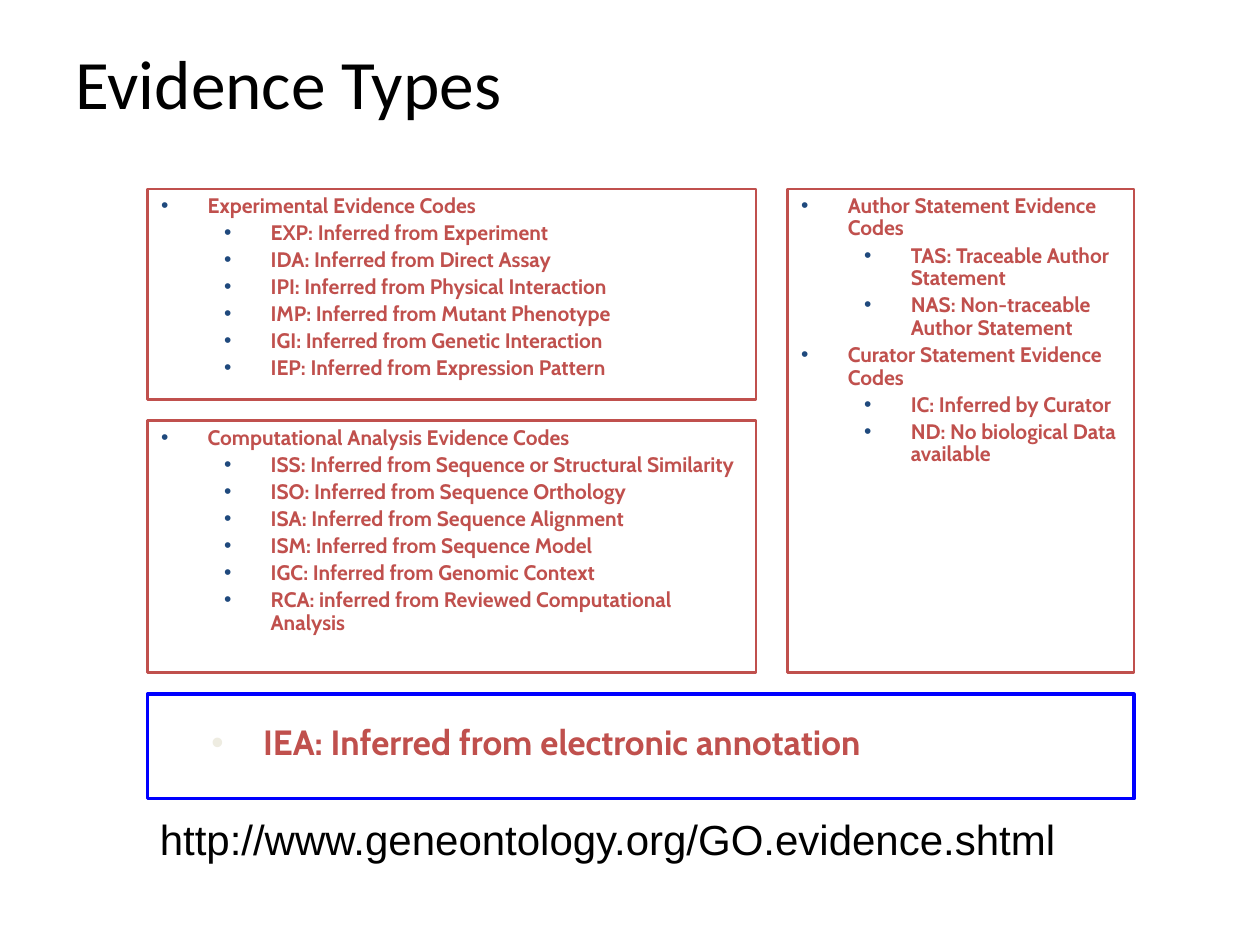
"""Build the Evidence Types slide with its framed lists of evidence codes."""
from lxml.etree import SubElement
from pptx import Presentation
from pptx.dml.color import RGBColor
from pptx.enum.shapes import MSO_SHAPE
from pptx.enum.text import MSO_ANCHOR, PP_ALIGN
from pptx.oxml.ns import qn
from pptx.util import Inches, Pt

COLORS = {"black": "000000", "red": "C0504D", "navy": "1F497D", "blue": "0000FF", "cream": "EEECE1"}
TITLE = "Evidence Types"
HIGHLIGHT = "IEA: Inferred from electronic annotation"
ADDRESS = "http://www.geneontology.org/GO.evidence.shtml"

EXPERIMENTAL = [
    ("Experimental Evidence Codes", [
        "EXP: Inferred from Experiment",
        "IDA: Inferred from Direct Assay",
        "IPI: Inferred from Physical Interaction",
        "IMP: Inferred from Mutant Phenotype",
        "IGI: Inferred from Genetic Interaction",
        "IEP: Inferred from Expression Pattern",
    ]),
]
COMPUTATIONAL = [
    ("Computational Analysis Evidence Codes", [
        "ISS: Inferred from Sequence or Structural Similarity",
        "ISO: Inferred from Sequence Orthology",
        "ISA: Inferred from Sequence Alignment",
        "ISM: Inferred from Sequence Model",
        "IGC: Inferred from Genomic Context",
        "RCA: inferred from Reviewed Computational Analysis",
    ]),
]
STATEMENTS = [
    ("Author Statement Evidence Codes", [
        "TAS: Traceable Author Statement",
        "NAS: Non-traceable Author Statement",
    ]),
    ("Curator Statement Evidence Codes", [
        "IC: Inferred by Curator",
        "ND: No biological Data available",
    ]),
]

LEFT, RIGHT, TOP = 1.17, 9, 1.5
COLUMN_GAP, ROW_GAP = 0.25, 0.17
LEFT_WIDTH = 4.83
EXPERIMENTAL_HEIGHT, COMPUTATIONAL_HEIGHT, HIGHLIGHT_HEIGHT = 1.67, 2, 0.83
COMPUTATIONAL_TOP = TOP + EXPERIMENTAL_HEIGHT + ROW_GAP
LISTS_BOTTOM = COMPUTATIONAL_TOP + COMPUTATIONAL_HEIGHT
STATEMENTS_LEFT = LEFT + LEFT_WIDTH + COLUMN_GAP
PANELS = [
    (EXPERIMENTAL, LEFT, TOP, LEFT_WIDTH, EXPERIMENTAL_HEIGHT),
    (COMPUTATIONAL, LEFT, COMPUTATIONAL_TOP, LEFT_WIDTH, COMPUTATIONAL_HEIGHT),
    (STATEMENTS, STATEMENTS_LEFT, TOP, RIGHT - STATEMENTS_LEFT, LISTS_BOTTOM - TOP),
]


def color(name):
    return RGBColor.from_string(COLORS[name])


def add_span(paragraph, text, font, size, color_name, bold=False):
    span = paragraph.add_run()
    span.text = text
    span.font.name = font
    span.font.size = Pt(size)
    span.font.bold = bold
    span.font.color.rgb = color(color_name)


def add_bullet(paragraph, color_name, margin, indent):
    properties = paragraph._p.get_or_add_pPr()
    properties.set("marL", str(Inches(margin)))
    properties.set("indent", str(Inches(indent)))
    bullet_color = SubElement(properties, qn("a:buClr"))
    SubElement(bullet_color, qn("a:srgbClr"), val=COLORS[color_name])
    SubElement(properties, qn("a:buFont"), typeface="Arial")
    SubElement(properties, qn("a:buChar"), char="•")


def add_frame(page, left, top, width, height, line_color, line_width):
    frame = page.shapes.add_shape(
        MSO_SHAPE.RECTANGLE, Inches(left), Inches(top), Inches(width), Inches(height))
    frame.shadow.inherit = False
    frame.fill.background()
    frame.line.color.rgb = color(line_color)
    frame.line.width = Pt(line_width)
    return frame


def add_panel(page, groups, left, top, width, height):
    panel = add_frame(page, left, top, width, height, "red", 1.5)
    text_frame = panel.text_frame
    text_frame.word_wrap = True
    text_frame.vertical_anchor = MSO_ANCHOR.TOP
    entries = [(level, text) for heading, codes in groups
               for level, text in [(0, heading)] + [(1, code) for code in codes]]
    for index, (level, text) in enumerate(entries):
        paragraph = text_frame.add_paragraph() if index else text_frame.paragraphs[0]
        add_bullet(paragraph, "navy", 0.38 + 0.5 * level, -0.37)
        paragraph.level = level
        paragraph.alignment = PP_ALIGN.LEFT
        paragraph.line_spacing = 0.9
        paragraph.space_before = Pt(2.5 if index else 0)
        add_span(paragraph, text, "Cabin", 12, "red", True)


def add_text_box(page, left, top, width, height):
    box = page.shapes.add_textbox(Inches(left), Inches(top), Inches(width), Inches(height))
    box.text_frame.word_wrap = True
    return box.text_frame


def main():
    deck = Presentation()
    deck.slide_width, deck.slide_height = Inches(10), Inches(7.5)
    page = deck.slides.add_slide(deck.slide_layouts[6])

    title = add_text_box(page, 0.5, 0.3, 9, 0.7)
    title.vertical_anchor = MSO_ANCHOR.MIDDLE
    add_span(title.paragraphs[0], TITLE, "Calibri", 39.6, "black")

    for panel in PANELS:
        add_panel(page, *panel)

    highlight_top = LISTS_BOTTOM + ROW_GAP
    add_frame(page, LEFT, highlight_top, RIGHT - LEFT, HIGHLIGHT_HEIGHT, "blue", 2)
    highlight = add_text_box(page, LEFT, highlight_top + 0.2, 6.17, 0.97).paragraphs[0]
    add_bullet(highlight, "cream", 0.41, -0.41)
    highlight.alignment = PP_ALIGN.CENTER
    highlight.line_spacing = 0.9
    add_span(highlight, HIGHLIGHT, "Cabin", 20, "red", True)

    address = add_text_box(page, LEFT, 6.41, 8.75, 0.5).paragraphs[0]
    add_span(address, ADDRESS, "Arial", 24, "black")
    deck.save("out.pptx")


if __name__ == "__main__":
    main()
